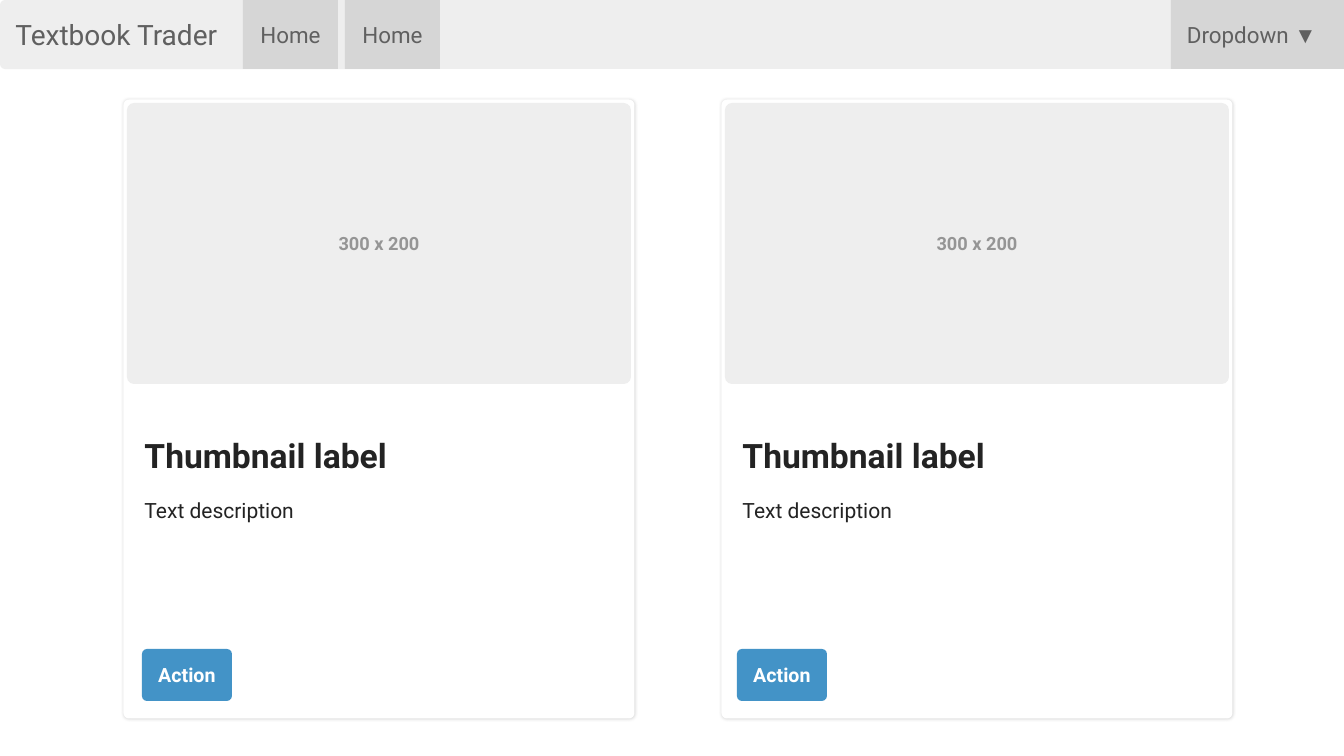
from dataclasses import dataclass
from typing import Optional

import lxml.etree
import pptx
import pptx.dml.color
import pptx.enum.shapes
import pptx.enum.text
import pptx.oxml.ns
import pptx.util

PX = 12192000 / 1344  # EMU in one pixel
ALIGN = pptx.enum.text.PP_ALIGN
ANCHOR = pptx.enum.text.MSO_ANCHOR
PRESET = pptx.enum.shapes.MSO_SHAPE


@dataclass(frozen=True)
class Theme:
    """Colours, fonts and type sizes of the page."""
    white: str = "FFFFFF"
    panel: str = "EEEEEE"
    nav: str = "D6D6D6"
    nav_text: str = "606060"
    hint: str = "959595"
    ink: str = "232323"
    action: str = "4393C7"
    shadow: str = "808080"
    font: str = "Roboto"
    symbol_font: str = "Arial"
    brand_size: int = 20
    nav_size: int = 16
    label_size: int = 24
    body_size: int = 15
    hint_size: int = 13
    action_size: int = 14


T = Theme()


@dataclass(frozen=True)
class Box:
    """A rectangle in pixels with an optional corner radius."""
    x: int
    y: int
    w: int
    h: int
    radius: int = 0


@dataclass(frozen=True)
class Run:
    """A stretch of text in one style."""
    text: str
    size: int
    color: str
    bold: bool = False
    font: str = T.font


@dataclass(frozen=True)
class NavItem:
    """A button in the navigation bar; an indent makes it left-aligned."""
    x: int
    w: int
    runs: tuple[Run, ...]
    indent: Optional[int] = None


@dataclass(frozen=True)
class Card:
    """A thumbnail card and the left edge of its action button."""
    x: int
    action_x: int


def emu(px: float) -> pptx.util.Emu:
    """Turn pixels into EMU."""
    return pptx.util.Emu(round(px * PX))


def rgb(color: str) -> pptx.dml.color.RGBColor:
    """Turn a hex string into a colour."""
    return pptx.dml.color.RGBColor.from_string(color)


def add_box(slide, box: Box, fill: str):
    """Draw a filled box without line, shadow or text margins."""
    kind = PRESET.ROUNDED_RECTANGLE if box.radius else PRESET.RECTANGLE
    s = slide.shapes.add_shape(kind, *map(emu, (box.x, box.y, box.w, box.h)))
    if box.radius:
        s.adjustments[0] = box.radius / min(box.w, box.h)
    s.shadow.inherit = False
    s.fill.solid()
    s.fill.fore_color.rgb = rgb(fill)
    s.line.fill.background()
    tf = s.text_frame
    tf.word_wrap = True
    tf.vertical_anchor = ANCHOR.MIDDLE
    tf.margin_left = tf.margin_right = tf.margin_top = tf.margin_bottom = 0
    return s


def add_runs(p, runs: tuple[Run, ...], align=ALIGN.CENTER) -> None:
    """Fill a paragraph run by run."""
    p.alignment = align
    for run in runs:
        r = p.add_run()
        r.text = run.text
        r.font.name = run.font
        r.font.size = pptx.util.Pt(run.size)
        r.font.bold = run.bold
        r.font.color.rgb = rgb(run.color)


def add_label(slide, box: Box, fill: str, runs: tuple[Run, ...],
              indent: Optional[int] = None) -> None:
    """Draw a box with one line of text, centred unless indented."""
    tf = add_box(slide, box, fill).text_frame
    if indent is not None:
        tf.margin_left = emu(indent)
    add_runs(tf.paragraphs[0], runs, ALIGN.CENTER if indent is None else ALIGN.LEFT)


def add_glow(s) -> None:
    """Give a shape a soft shadow on all sides."""
    effects = s._element.spPr.find(pptx.oxml.ns.qn("a:effectLst"))
    shadow = lxml.etree.SubElement(effects, pptx.oxml.ns.qn("a:outerShdw"),
                                   blurRad=str(pptx.util.Pt(2)), dist="0", dir="0",
                                   algn="ctr", rotWithShape="0")
    color = lxml.etree.SubElement(shadow, pptx.oxml.ns.qn("a:srgbClr"), val=T.shadow)
    lxml.etree.SubElement(color, pptx.oxml.ns.qn("a:alpha"), val="30000")


def add_card(slide, card: Card) -> None:
    """Draw a card with its thumbnail, caption and action button."""
    s = add_box(slide, Box(card.x, 103, 504, 612, 2), T.white)
    s.line.color.rgb = rgb(T.white)
    s.line.width = pptx.util.Pt(5)
    add_glow(s)
    tf = s.text_frame
    tf.vertical_anchor = ANCHOR.TOP
    tf.margin_left, tf.margin_top = emu(17), emu(331)
    add_runs(tf.paragraphs[0],
             (Run("Thumbnail label", T.label_size, T.ink, True),), ALIGN.LEFT)
    p = tf.add_paragraph()
    p.space_before = pptx.util.Pt(16)
    add_runs(p, (Run("Text description", T.body_size, T.ink),), ALIGN.LEFT)
    add_label(slide, Box(card.x, 103, 504, 281, 7), T.panel,
              (Run("300 x 200", T.hint_size, T.hint, True),))
    add_label(slide, Box(card.action_x, 649, 90, 52, 5), T.action,
              (Run("Action", T.action_size, T.white, True),))


BAR_H = 69
HOME = (Run("Home", T.nav_size, T.nav_text),)
DROPDOWN = (Run("Dropdown ", T.nav_size, T.nav_text),
            Run("▼", T.nav_size, T.nav_text, font=T.symbol_font))
NAV_ITEMS = (NavItem(243, 95, HOME), NavItem(345, 95, HOME),
             NavItem(1171, 173, DROPDOWN, 16))
CARDS = (Card(127, 142), Card(725, 737))

prs = pptx.Presentation()
prs.slide_width, prs.slide_height = emu(1344), emu(756)
slide = prs.slides.add_slide(prs.slide_layouts[6])

add_label(slide, Box(0, 0, 1344, BAR_H, 5), T.panel,
          (Run("Textbook Trader", T.brand_size, T.nav_text),), 14)
for item in NAV_ITEMS:
    add_label(slide, Box(item.x, 0, item.w, BAR_H), T.nav, item.runs, item.indent)
for card in CARDS:
    add_card(slide, card)

prs.save("out.pptx")
